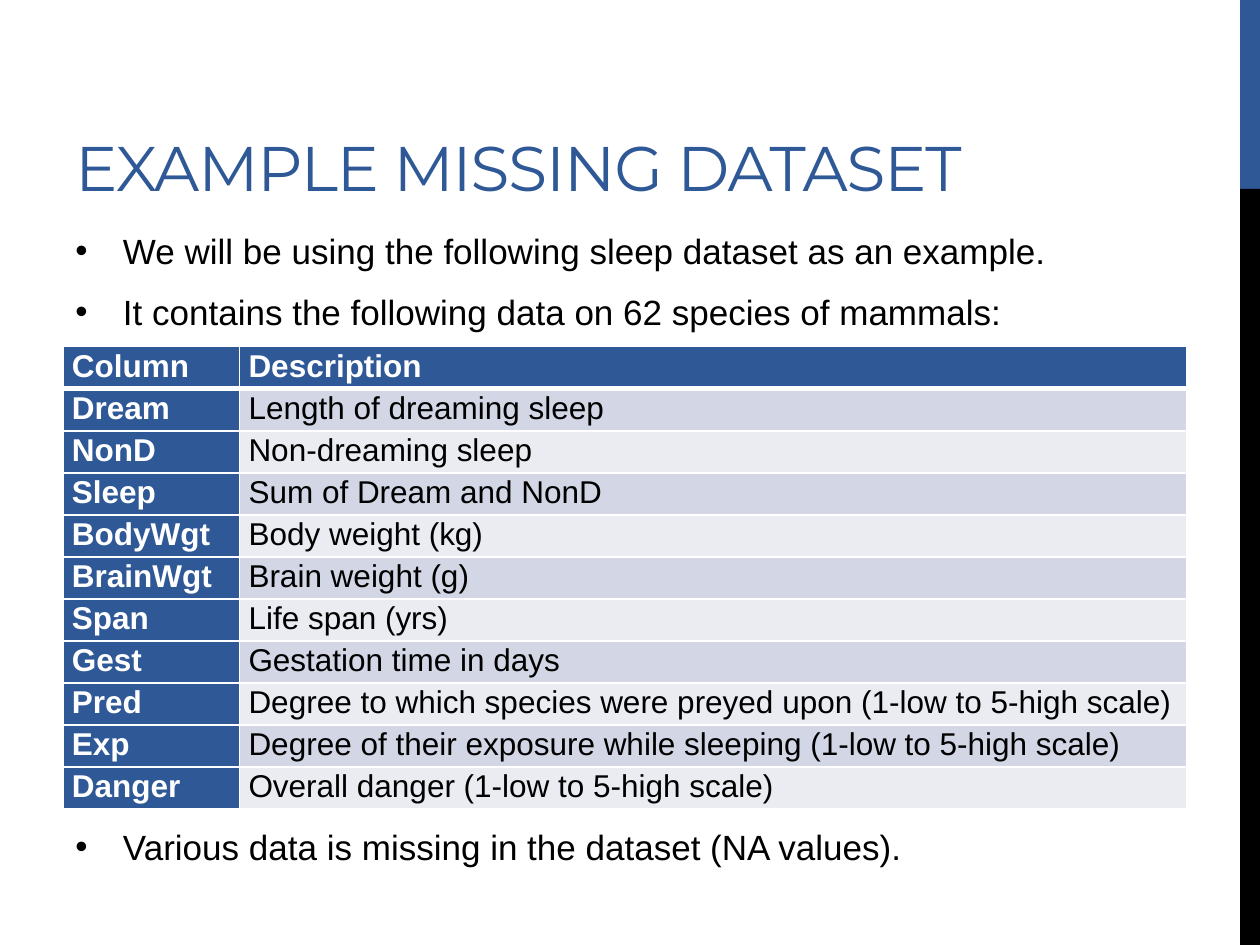
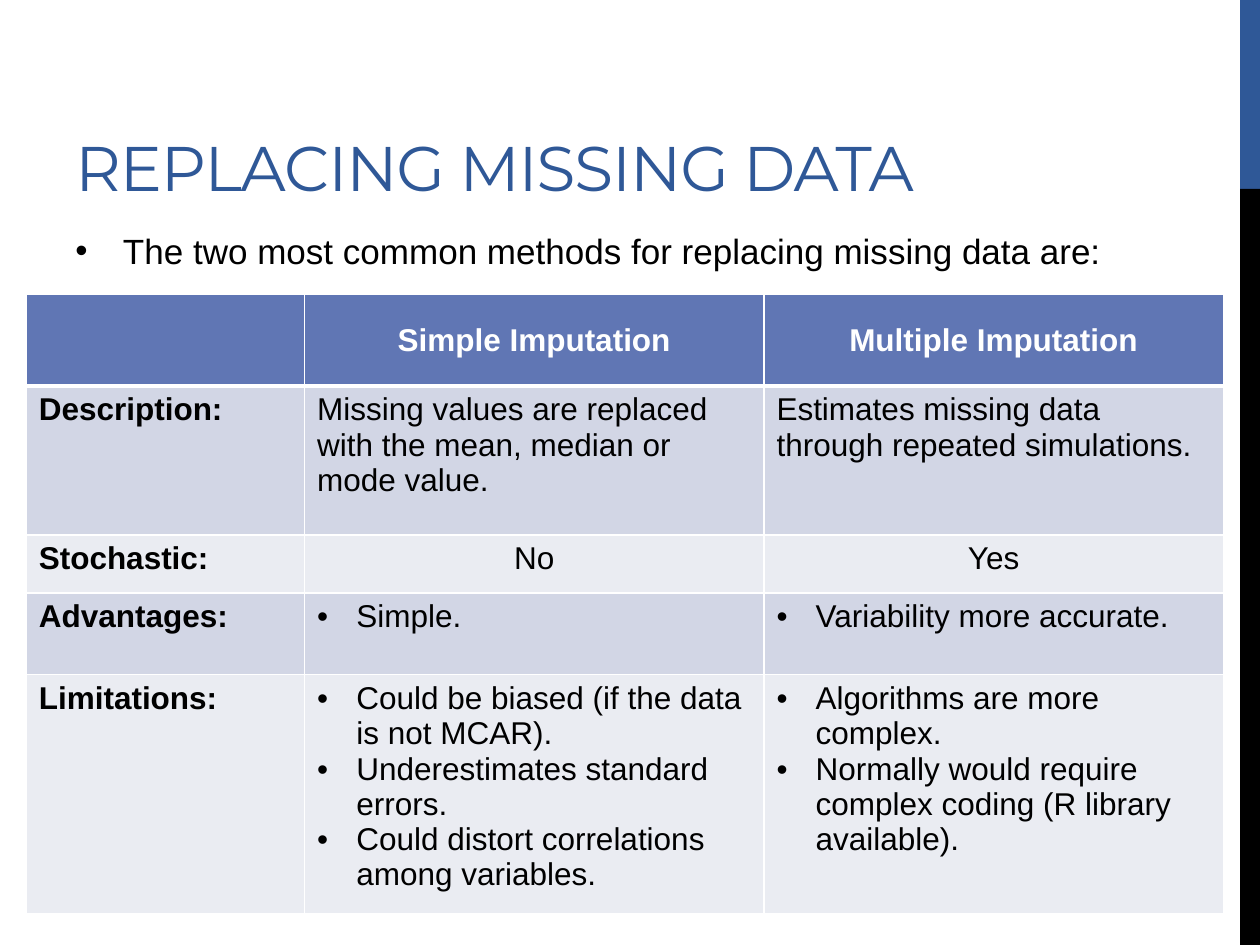
from collections import namedtuple
from dataclasses import dataclass

from lxml import etree
from pptx import Presentation
from pptx.dml.color import RGBColor
from pptx.enum.shapes import MSO_SHAPE
from pptx.enum.text import MSO_ANCHOR, PP_ALIGN
from pptx.oxml.ns import qn
from pptx.util import Cm, Pt

RECTANGLE = MSO_SHAPE.RECTANGLE
TOP, MIDDLE, BOTTOM = MSO_ANCHOR.TOP, MSO_ANCHOR.MIDDLE, MSO_ANCHOR.BOTTOM
LEFT, CENTER = PP_ALIGN.LEFT, PP_ALIGN.CENTER

Box = namedtuple("Box", "left top width height")


@dataclass(frozen=True)
class Theme:
    """Colours, fonts and type sizes of the deck."""
    navy: str = "2F5897"
    blue: str = "6076B4"
    black: str = "000000"
    white: str = "FFFFFF"
    stripes: tuple = ("D2D6E5", "EAECF2")
    title_font: str = "Montserrat"
    body_font: str = "Arial"
    title_size: int = 36
    body_size: int = 20
    table_size: int = 18


THEME = Theme()
SLIDE = Box(0, 0, Cm(25.4), Cm(19.05))
BAND = Box(Cm(25), 0, Cm(0.4), SLIDE.height)
TITLE = Box(Cm(1.27), Cm(0.43), Cm(22.02), Cm(3.81))
BODY = Box(Cm(1.27), Cm(4.45), Cm(23.3), Cm(2.4))
CLOSING = Box(BODY.left, Cm(16.46), BODY.width, Cm(1.27))


def apply(target, values):
    """Set every attribute named in a dict of format values."""
    for name, value in values.items():
        setattr(target, name, value)


def add_span(para, text, size, color, font=THEME.body_font, bold=False):
    """Add one formatted run to a paragraph."""
    span = para.add_run()
    span.text = text
    apply(span.font, {"name": font, "size": Pt(size), "bold": bold})
    span.font.color.rgb = RGBColor.from_string(color)
    return span


def add_bullet(para, indent):
    """Give a paragraph a round bullet with a hanging indent."""
    props = para._p.get_or_add_pPr()
    props.set("marL", str(indent))
    props.set("indent", str(-indent))
    etree.SubElement(props, qn("a:buFont")).set("typeface", "Arial")
    etree.SubElement(props, qn("a:buChar")).set("char", "•")


def add_frame(page, box, anchor=TOP):
    """Add a wrapping text box and return its text frame."""
    frame = page.shapes.add_textbox(*box).text_frame
    apply(frame, {"word_wrap": True, "vertical_anchor": anchor})
    return frame


def add_paras(frame, count):
    """Return the frame's paragraphs, extended to the given count."""
    return [frame.paragraphs[0]] + [frame.add_paragraph() for _ in range(count - 1)]


def add_band(page, box):
    """Draw the two-colour band, navy over its top fifth."""
    split = box.height // 5
    parts = ((box.top, split, THEME.navy),
             (box.top + split, box.height - split, THEME.black))
    for top, height, color in parts:
        bar = page.shapes.add_shape(RECTANGLE, box.left, top, box.width, height)
        bar.shadow.inherit = False
        bar.fill.solid()
        bar.fill.fore_color.rgb = RGBColor.from_string(color)
        bar.line.fill.background()


def add_title(page, box, text):
    """Write the slide title at the bottom of its box."""
    frame = add_frame(page, box, BOTTOM)
    span = add_span(frame.paragraphs[0], text, THEME.title_size, THEME.navy,
                    THEME.title_font)
    span.font._element.set("spc", "-60")


def add_bullets(page, box, lines):
    """Write a list of body bullets."""
    frame = add_frame(page, box)
    frame.margin_top = Cm(0.18)
    for para, text in zip(add_paras(frame, len(lines)), lines):
        para.space_after = Pt(11)
        add_bullet(para, Cm(0.96))
        add_span(para, text, THEME.body_size, THEME.black)


def add_borders(cell, row):
    """Draw white cell borders, thick between header and body."""
    props = cell._tc.get_or_add_tcPr()
    thick = {(0, "lnB"), (1, "lnT")}
    for side in ("lnL", "lnR", "lnT", "lnB"):
        width = Pt(3 if (row, side) in thick else 1)
        line = etree.SubElement(props, qn(f"a:{side}"), w=str(width))
        fill = etree.SubElement(line, qn("a:solidFill"))
        etree.SubElement(fill, qn("a:srgbClr")).set("val", THEME.white)


def fill_cell(cell, row, content, fill, color, bold, layout, align=LEFT):
    """Format one cell; a list as content becomes bullets."""
    add_borders(cell, row)
    cell.fill.solid()
    cell.fill.fore_color.rgb = RGBColor.from_string(fill)
    apply(cell, layout["cell"])
    bulleted = isinstance(content, list)
    lines = content if bulleted else [content]
    for para, text in zip(add_paras(cell.text_frame, len(lines)), lines):
        apply(para, {"alignment": align, **layout["para"]})
        if bulleted:
            add_bullet(para, Cm(0.79))
        if text:
            add_span(para, text, THEME.table_size, color, bold=bold)


def add_grid(page, box, widths, heights):
    """Add a table with the given column widths and row heights."""
    table = page.shapes.add_table(len(heights), len(widths), *box).table
    for column, width in zip(table.columns, widths):
        column.width = width
    for row, height in zip(table.rows, heights):
        row.height = height
    return table


def add_column_table(page, box, rows):
    """Table of dataset columns with a navy header row and first column."""
    first = Cm(3.56)
    table = add_grid(page, box, (first, box.width - first),
                     [box.height // len(rows)] * len(rows))
    layout = {"cell": {"margin_left": Cm(0.18), "margin_right": Cm(0.18),
                       "margin_top": 0, "margin_bottom": 0},
              "para": {"line_spacing": 1.07}}
    for r, texts in enumerate(rows):
        for c, text in enumerate(texts):
            head = r == 0 or c == 0
            fill = THEME.navy if head else THEME.stripes[(r - 1) % 2]
            color = THEME.white if head else THEME.black
            fill_cell(table.cell(r, c), r, text, fill, color, head, layout)


def add_method_table(page, box, rows, heights):
    """Table comparing methods under a centred blue header row."""
    first = Cm(5.61)
    other = (box.width - first) // 2
    table = add_grid(page, box, (first, other, other), heights)
    for r, contents in enumerate(rows):
        head = r == 0
        layout = {"cell": {"vertical_anchor": MIDDLE if head else TOP}, "para": {}}
        fill = THEME.blue if head else THEME.stripes[(r - 1) % 2]
        color = THEME.white if head else THEME.black
        for c, content in enumerate(contents):
            centred = head or content in ("Yes", "No")
            fill_cell(table.cell(r, c), r, content, fill, color, head or c == 0,
                      layout, CENTER if centred else LEFT)


def add_page(deck, title, lines):
    """Add a slide with band, title and opening bullets."""
    page = deck.slides.add_slide(deck.slide_layouts[6])
    add_band(page, BAND)
    add_title(page, TITLE, title)
    add_bullets(page, BODY._replace(height=Cm(1.2) * len(lines)), lines)
    return page


DATASET_COLUMNS = [
    ("Column", "Description"),
    ("Dream", "Length of dreaming sleep"),
    ("NonD", "Non-dreaming sleep"),
    ("Sleep", "Sum of Dream and NonD"),
    ("BodyWgt", "Body weight (kg)"),
    ("BrainWgt", "Brain weight (g)"),
    ("Span", "Life span (yrs)"),
    ("Gest", "Gestation time in days"),
    ("Pred", "Degree to which species were preyed upon (1-low to 5-high scale)"),
    ("Exp", "Degree of their exposure while sleeping (1-low to 5-high scale)"),
    ("Danger", "Overall danger (1-low to 5-high scale)"),
]

METHODS = [
    ("", "Simple Imputation", "Multiple Imputation"),
    ("Description:",
     "Missing values are replaced with the mean, median or mode value.",
     "Estimates missing data through repeated simulations."),
    ("Stochastic:", "No", "Yes"),
    ("Advantages:", ["Simple."], ["Variability more accurate."]),
    ("Limitations:",
     ["Could be biased (if the data is not MCAR).",
      "Underestimates standard errors.",
      "Could distort correlations among variables."],
     ["Algorithms are more complex.",
      "Normally would require complex coding (R library available)."]),
]
METHOD_HEIGHTS = [Cm(height) for height in (1.85, 3, 1.17, 1.65, 4.67)]


def main():
    """Build and save the deck."""
    deck = Presentation()
    apply(deck, {"slide_width": SLIDE.width, "slide_height": SLIDE.height})

    page = add_page(deck, "EXAMPLE MISSING DATASET", [
        "We will be using the following sleep dataset as an example.",
        "It contains the following data on 62 species of mammals:"])
    add_column_table(page, Box(Cm(1.27), Cm(6.99), Cm(22.66), Cm(9.32)),
                     DATASET_COLUMNS)
    add_bullets(page, CLOSING, ["Various data is missing in the dataset (NA values)."])

    page = add_page(deck, "REPLACING MISSING DATA", [
        "The two most common methods for replacing missing data are:"])
    add_method_table(page, Box(Cm(0.53), Cm(5.93), Cm(24.13), sum(METHOD_HEIGHTS)),
                     METHODS, METHOD_HEIGHTS)

    deck.save("out.pptx")


main()
